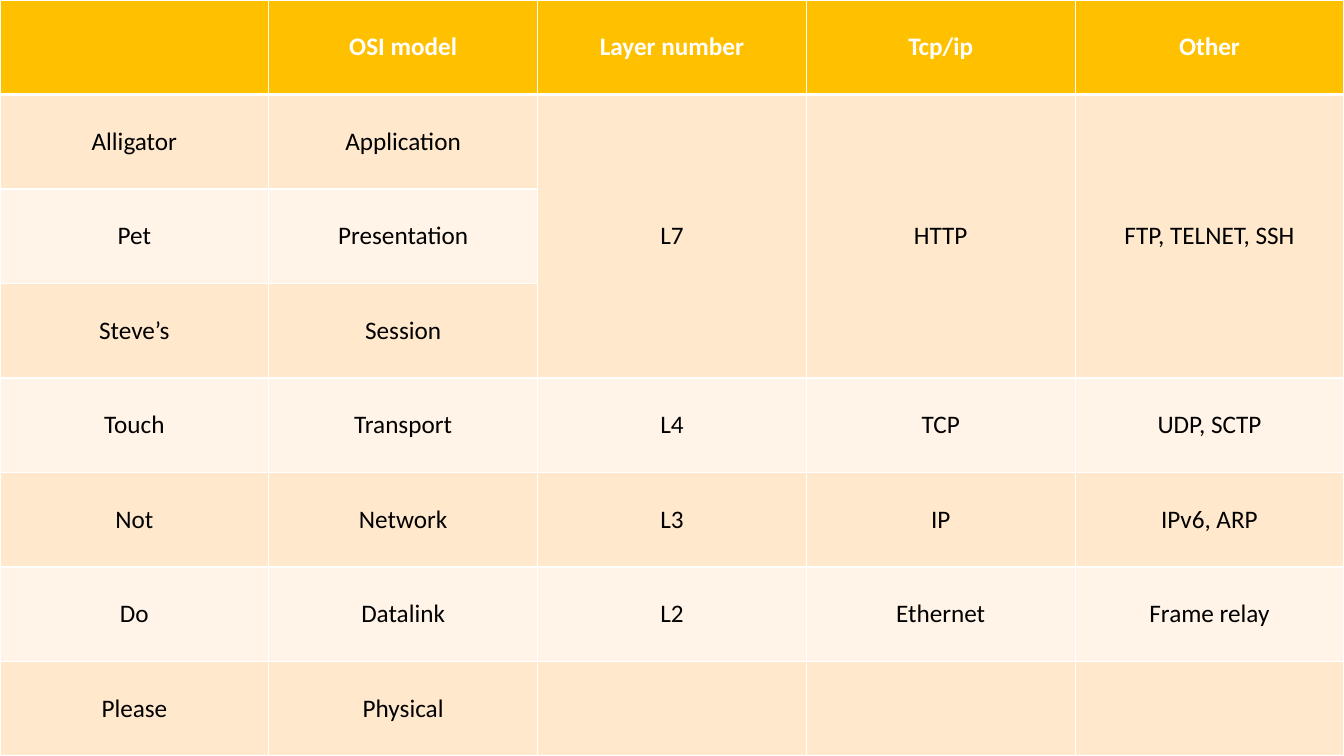
from pptx import Presentation
from pptx.dml.color import RGBColor
from pptx.enum import text
from pptx.oxml import parse_xml
from pptx.oxml.ns import nsdecls
from pptx.util import Inches, Pt

HEADER = ("", "OSI model", "Layer number", "Tcp/ip", "Other")
LAYERS = [
    ("Alligator", "Application", "L7", "HTTP", "FTP, TELNET, SSH"),
    ("Pet", "Presentation", "", "", ""),
    ("Steve’s", "Session", "", "", ""),
    ("Touch", "Transport", "L4", "TCP", "UDP, SCTP"),
    ("Not", "Network", "L3", "IP", "IPv6, ARP"),
    ("Do", "Datalink", "L2", "Ethernet", "Frame relay"),
    ("Please", "Physical", "", "", ""),
]
MERGED_COLS, MERGED_ROWS = (2, 3, 4), (1, 3)
COLORS = {"header": "FFC000", "dark_band": "FFE8CC", "light_band": "FFF4E7",
          "white": "FFFFFF", "black": "000000"}
WIDTH, HEIGHT = 13.33, 7.5


def rgb(name):
    return RGBColor.from_string(COLORS[name])


def set_borders(cell, widths):
    """Draw white borders; widths maps a side (L, R, T, B) to points."""
    for side, width in widths.items():
        cell._tc.get_or_add_tcPr().append(parse_xml(
            f'<a:ln{side} {nsdecls("a")} w="{Pt(width)}"><a:solidFill>'
            f'<a:srgbClr val="{COLORS["white"]}"/></a:solidFill></a:ln{side}>'))


def fill_cell(cell, words, row):
    is_header = row == 0
    band = "header" if is_header else "dark_band" if row % 2 else "light_band"
    set_borders(cell, {"L": 1, "R": 1, "T": 3 if row == 1 else 1,
                       "B": 3 if is_header else 1})
    cell.fill.solid()
    cell.fill.fore_color.rgb = rgb(band)
    cell.vertical_anchor = text.MSO_ANCHOR.MIDDLE
    p = cell.text_frame.paragraphs[0]
    p.alignment = text.PP_ALIGN.CENTER
    font_format = {"name": "Calibri", "size": Pt(18), "bold": is_header}
    if words:
        r = p.add_run()
        r.text = words
        for key, value in font_format.items():
            setattr(r.font, key, value)
        r.font.color.rgb = rgb("white" if is_header else "black")


def main():
    prs = Presentation()
    prs.slide_width, prs.slide_height = Inches(WIDTH), Inches(HEIGHT)
    s = prs.slides.add_slide(prs.slide_layouts[6])
    rows = [HEADER] + LAYERS
    table = s.shapes.add_table(len(rows), len(HEADER), 0, 0,
                               Inches(WIDTH), Inches(HEIGHT)).table
    for table_row in table.rows:
        table_row.height = Inches(HEIGHT / len(rows))
    for i, row in enumerate(rows):
        for j, words in enumerate(row):
            fill_cell(table.cell(i, j), words, i)
    first, last = MERGED_ROWS
    for j in MERGED_COLS:
        table.cell(first, j).merge(table.cell(last, j))
    prs.save("out.pptx")


if __name__ == "__main__":
    main()
